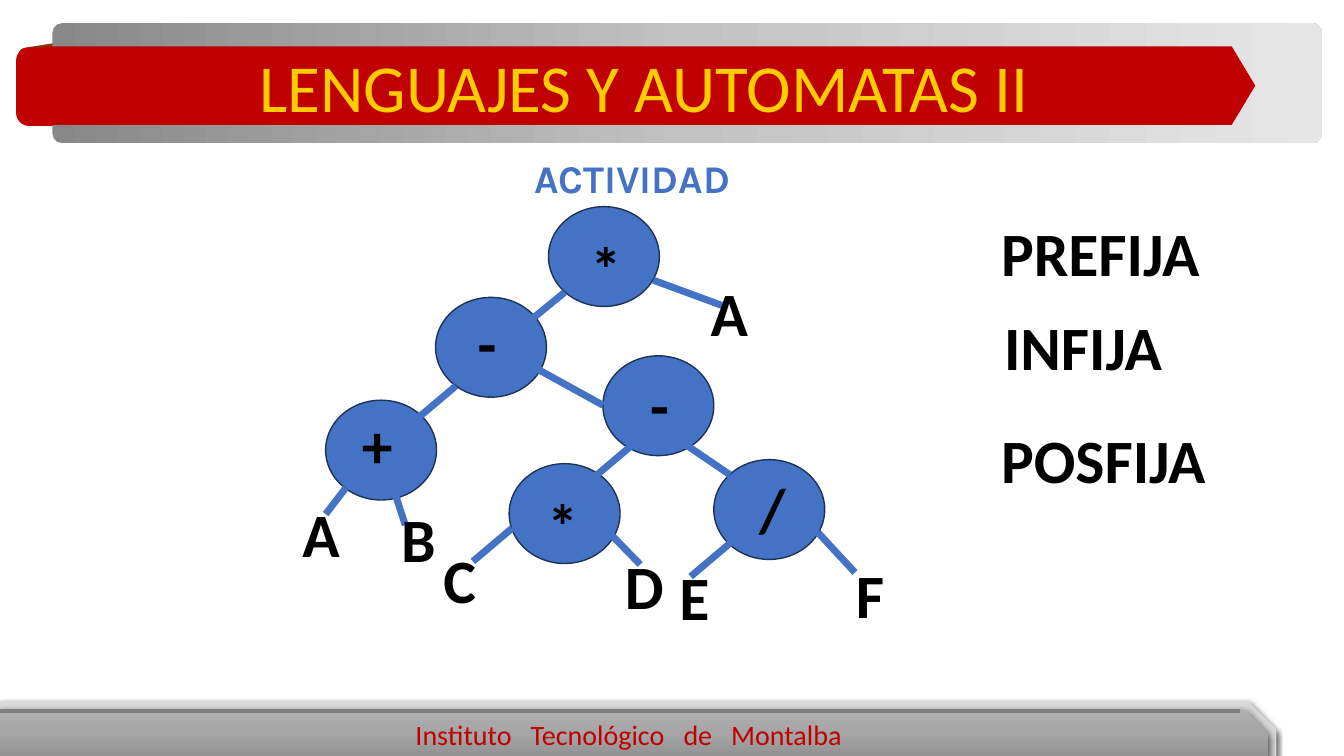
import copy
from dataclasses import dataclass

import pptx
import pptx.dml.color
import pptx.enum.shapes
import pptx.enum.text
import pptx.oxml
import pptx.oxml.ns
import pptx.util
from pptx.util import Inches

SHAPE = pptx.enum.shapes.MSO_SHAPE
ALIGN = pptx.enum.text.PP_ALIGN
ANCHOR = pptx.enum.text.MSO_ANCHOR
AUTOSIZE = pptx.enum.text.MSO_AUTO_SIZE


@dataclass(frozen=True)
class Theme:
    font: str = "Calibri"
    heading_font: str = "Karla"
    red: str = "C00000"
    brown: str = "843C0B"
    gold: str = "FFCC00"
    blue: str = "4472C4"
    navy: str = "1E3256"
    black: str = "000000"
    rule: str = "808080"
    light: str = "D9D9D9"
    band: tuple[str, ...] = ("898888", "C3C2C2", "E7E6E6")
    foot: tuple[str, ...] = ("AFAFAF", "A5A5A5", "939393")
    title_size: int = 48
    label_size: int = 44
    heading_size: int = 28
    footer_size: int = 20


@dataclass(frozen=True)
class Box:
    left: float
    top: float
    width: float
    height: float

    def emu(self) -> tuple[int, ...]:
        return tuple(Inches(v) for v in (self.left, self.top, self.width, self.height))


@dataclass(frozen=True)
class Label:
    text: str
    left: float
    top: float
    width: float = 1.44


@dataclass(frozen=True)
class Edge:
    x1: float
    y1: float
    x2: float
    y2: float


T = Theme()
NODE_W, NODE_H = 1.1, 0.99
NODES = [(5.44, 2.05), (4.32, 2.95), (5.98, 3.53), (3.23, 3.97), (5.05, 4.6), (7.08, 4.56)]
EDGES = [
    Edge(5.6, 2.9, 5.21, 3.22), Edge(6.48, 2.78, 7.16, 3.03),
    Edge(4.52, 3.83, 4.13, 4.16), Edge(5.98, 4.02, 5.2, 3.59),
    Edge(6.3, 4.39, 5.91, 4.72), Edge(6.77, 4.39, 7.24, 4.71),
    Edge(3.43, 4.84, 3.23, 5.1), Edge(3.9, 4.84, 4.02, 5.21),
    Edge(5.08, 5.24, 4.69, 5.57), Edge(5.97, 5.21, 6.35, 5.6),
    Edge(7.24, 5.39, 6.85, 5.72), Edge(8.11, 5.28, 8.48, 5.68),
]
LABELS = [
    # Operators
    Label("*", 5.76, 2.23, 0.6), Label("-", 4.64, 2.98), Label("-", 6.35, 3.59),
    Label("+", 3.49, 3.99), Label("*", 5.33, 4.78), Label("/", 7.43, 4.62),
    # Operands
    Label("A", 6.95, 2.68), Label("A", 2.9, 4.87), Label("B", 3.88, 4.92),
    Label("C", 4.3, 5.33), Label("D", 6.1, 5.39), Label("E", 6.64, 5.5),
    Label("F", 8.39, 5.48),
    # Notations
    Label("PREFIJA", 9.83, 2.08, 2.98), Label("INFIJA", 9.86, 3.02, 2.98),
    Label("POSFIJA", 9.83, 4.14, 2.98),
]


def rgb(color: str) -> pptx.dml.color.RGBColor:
    return pptx.dml.color.RGBColor.from_string(color)


def style(p, size: int, color: str, font: str = T.font, bold: bool = False) -> None:
    p.font.name, p.font.size, p.font.bold = font, pptx.util.Pt(size), bold
    p.font.color.rgb = rgb(color)


def add_shape(slide, kind, box: Box, fill: str | tuple[str, ...], angle: int = 0,
              adj: float | None = None, line: str | None = None):
    s = slide.shapes.add_shape(kind, *box.emu())
    s.shadow.inherit = False
    if adj is not None:
        s.adjustments[0] = adj
    if isinstance(fill, str):
        s.fill.solid()
        s.fill.fore_color.rgb = rgb(fill)
    else:
        s.fill.gradient()
        s.fill.gradient_angle = angle
        stops = next(s.element.iter(pptx.oxml.ns.qn("a:gsLst")))
        stops.insert(1, copy.deepcopy(stops[0]))
        for i, (stop, color) in enumerate(zip(s.fill.gradient_stops, fill)):
            stop.color.rgb, stop.position = rgb(color), i / 2
    if line:
        s.line.color.rgb, s.line.width = rgb(line), pptx.util.Pt(1)
    else:
        s.line.fill.background()
    return s


def add_shadow(s) -> None:
    effects = next(s.element.iter(pptx.oxml.ns.qn("a:effectLst")))
    effects.append(pptx.oxml.parse_xml(
        f'<a:outerShdw {pptx.oxml.ns.nsdecls("a")} blurRad="57150" dist="19050" '
        'dir="5400000" algn="ctr" rotWithShape="0"><a:srgbClr val="000000">'
        '<a:alpha val="63000"/></a:srgbClr></a:outerShdw>'))


def add_line(slide, edge: Edge, color: str, width: int) -> None:
    c = slide.shapes.add_connector(
        pptx.enum.shapes.MSO_CONNECTOR.STRAIGHT,
        Inches(edge.x1), Inches(edge.y1), Inches(edge.x2), Inches(edge.y2))
    c.line.color.rgb, c.line.width = rgb(color), pptx.util.Pt(width)
    c.element.spPr.append(
        pptx.oxml.parse_xml(f'<a:effectLst {pptx.oxml.ns.nsdecls("a")}/>'))


def add_text(slide, text: str, box: Box):
    tf = slide.shapes.add_textbox(*box.emu()).text_frame
    tf.word_wrap, tf.auto_size = True, AUTOSIZE.SHAPE_TO_FIT_TEXT
    p = tf.paragraphs[0]
    p.text = text
    return p


def add_header(slide) -> None:
    fold = add_shape(slide, SHAPE.ROUNDED_RECTANGLE, Box(0.21, 0.38, 1.29, 0.54), T.brown, adj=0.12)
    fold.rotation = 350.9
    add_shape(slide, SHAPE.ROUNDED_RECTANGLE, Box(0.16, 0.47, 1.14, 0.78), T.red)
    add_shape(slide, SHAPE.ROUNDED_RECTANGLE, Box(0.52, 0.23, 12.59, 1.19), T.band, adj=0.08)
    add_shape(slide, SHAPE.PENTAGON, Box(0.44, 0.46, 12.01, 0.78), T.red, adj=0.3)

    # Title on top of the ribbon
    title = slide.shapes.title
    title.left, title.top, title.width, title.height = Box(0.44, 0.46, 11.9, 0.78).emu()
    slide.shapes.element.append(title.element)
    tf = title.text_frame
    tf.text = "LENGUAJES Y AUTOMATAS II"
    tf.auto_size, tf.vertical_anchor = AUTOSIZE.NONE, ANCHOR.MIDDLE
    tf.paragraphs[0].alignment = ALIGN.CENTER
    style(tf.paragraphs[0], T.title_size, T.gold)


def add_footer(slide) -> None:
    add_shadow(add_shape(slide, SHAPE.SNIP_1_RECTANGLE, Box(0, 6.96, 12.66, 0.55), T.light, adj=0.5))
    bar = add_shape(slide, SHAPE.SNIP_1_RECTANGLE, Box(0, 7.05, 12.58, 0.45), T.foot, 270, adj=0.5)
    add_shadow(bar)
    tf = bar.text_frame
    tf.vertical_anchor = ANCHOR.BOTTOM
    p = tf.paragraphs[0]
    p.alignment = ALIGN.CENTER
    style(p, T.footer_size, T.red)
    # Wide word gaps through character spacing
    for i, word in enumerate("Instituto Tecnológico de Montalba".split()):
        if i:
            gap = p.add_run()
            gap.text = " "
            gap.font.element.set("spc", "900") if hasattr(gap.font, "element") else gap._r.get_or_add_rPr().set("spc", "900")
        p.add_run().text = word
    add_line(slide, Edge(0, 7.05, 12.3, 7.05), T.rule, 3)


def add_tree(slide) -> None:
    for left, top in NODES:
        add_shape(slide, SHAPE.OVAL, Box(left, top, NODE_W, NODE_H), T.blue, line=T.navy)
    for edge in EDGES:
        add_line(slide, edge, T.blue, 5)
    for label in LABELS:
        p = add_text(slide, label.text, Box(label.left, label.top, label.width, 0.84))
        style(p, T.label_size, T.black, bold=True)


def main() -> None:
    prs = pptx.Presentation()
    prs.slide_width, prs.slide_height = Inches(13.33), Inches(7.5)
    slide = prs.slides.add_slide(prs.slide_layouts.get_by_name("Title Only"))
    add_header(slide)
    add_footer(slide)
    p = add_text(slide, "ACTIVIDAD", Box(1.3, 1.48, 9.94, 0.57))
    p.alignment = ALIGN.CENTER
    style(p, T.heading_size, T.blue, T.heading_font, bold=True)
    add_tree(slide)
    prs.save("out.pptx")


if __name__ == "__main__":
    main()
